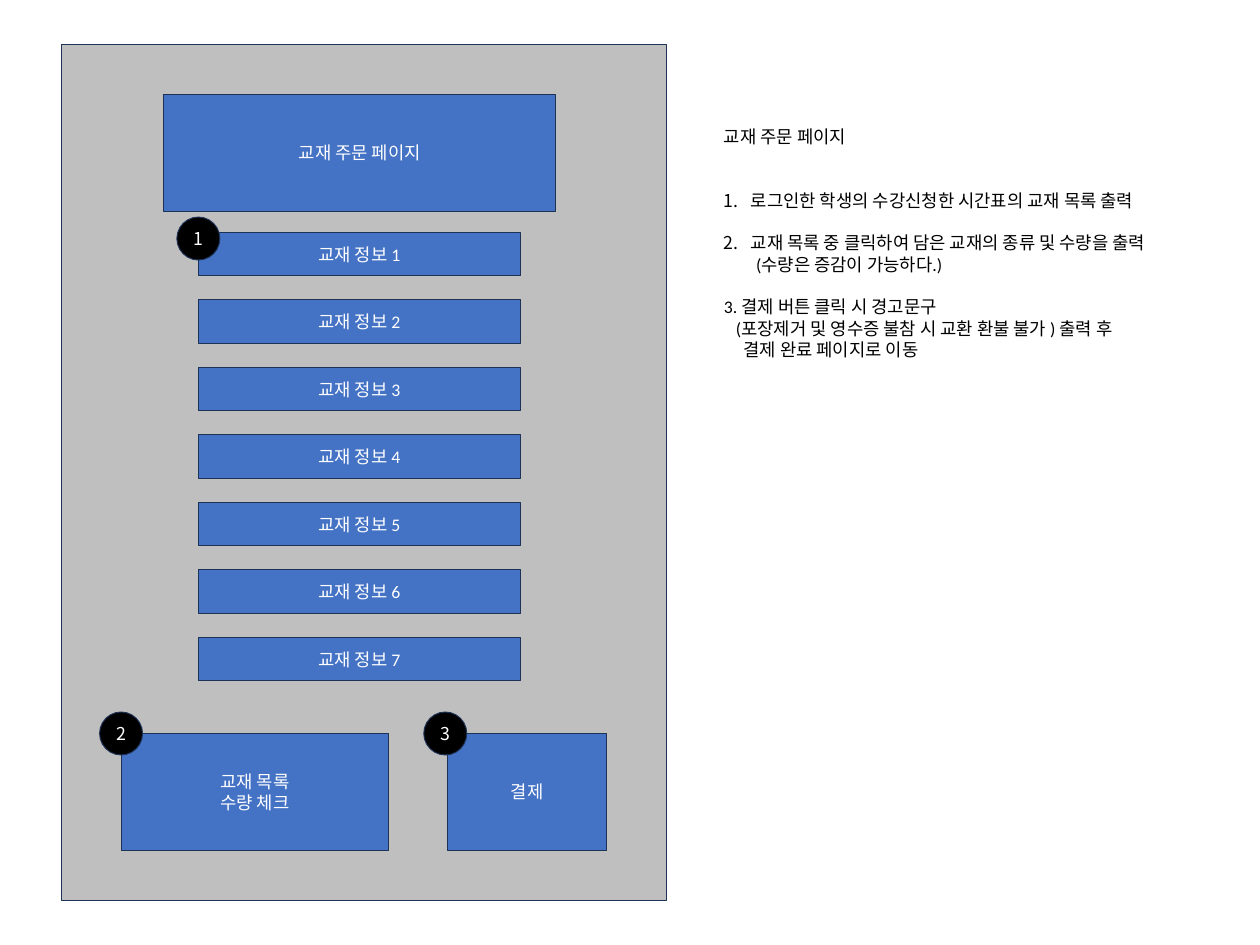
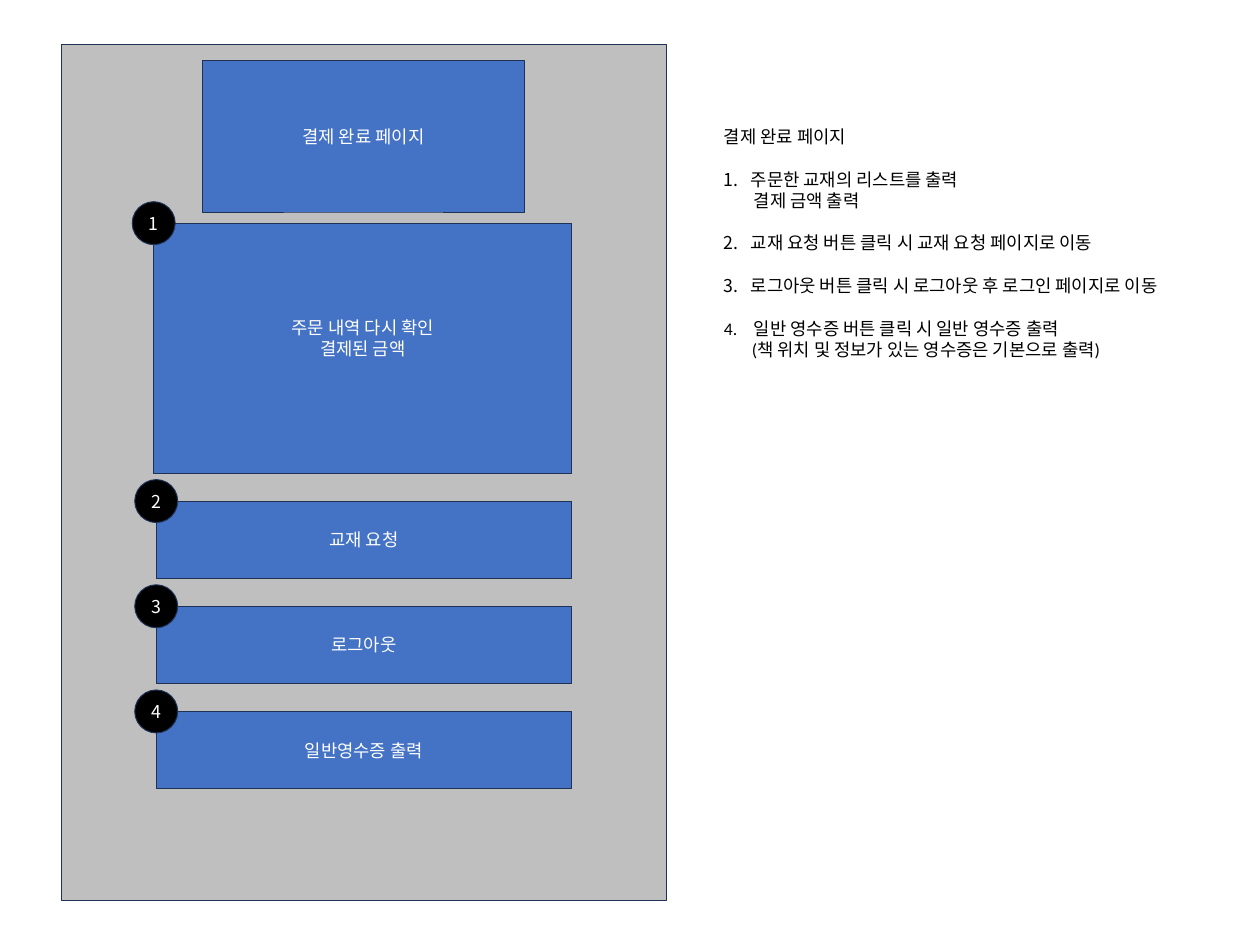
import dataclasses

import lxml.etree
import pptx
import pptx.dml.color
import pptx.enum.shapes
import pptx.enum.text
import pptx.oxml.ns
import pptx.shapes.autoshape
import pptx.slide
import pptx.text.text
import pptx.util

Cm = pptx.util.Cm
Pt = pptx.util.Pt
RECTANGLE = pptx.enum.shapes.MSO_SHAPE.RECTANGLE
OVAL = pptx.enum.shapes.MSO_SHAPE.OVAL


# Shared look
@dataclasses.dataclass(frozen=True)
class Theme:
    panel: str = "BFBFBF"
    block: str = "4472C4"
    badge: str = "000000"
    outline: str = "1E3256"
    light_text: str = "FFFFFF"
    dark_text: str = "000000"
    font: str = "Calibri"
    korean_font: str = "Noto Sans CJK KR"
    text_size: float = 18
    line_height: float = 21.6
    outline_width: float = 1


THEME = Theme()


# Parts of a page, with lengths in centimetres
@dataclasses.dataclass(frozen=True)
class Area:
    left: float
    top: float
    width: float
    height: float


@dataclasses.dataclass(frozen=True)
class Block:
    text: str
    area: Area
    badge: str = ""
    badge_right: float = 0
    badge_down: float = 0
    bottom_inset: float = 0.13


@dataclasses.dataclass(frozen=True)
class Note:
    text: str
    number: int = 0
    indent: float = 0
    hanging: float = 0
    gap_lines: int = 0


@dataclasses.dataclass(frozen=True)
class Screen:
    blocks: list[Block]
    notes: list[Note]


PAGE_WIDTH, PAGE_HEIGHT = 45.16, 33.87
PANEL = Area(2.21, 1.6, 21.67, 30.66)
NOTES = Area(25.7, 4.39, 17.25, 8.71)
BADGE_SIZE = 1.54
NUMBER_INDENT = 0.96


def stack(labels: list[str], first: Area, pitch: float,
          badges: list[str]) -> list[Block]:
    """Place equal blocks below one another."""
    return [
        Block(label, dataclasses.replace(first, top=first.top + row * pitch), badge)
        for row, (label, badge) in enumerate(zip(labels, badges))
    ]


def numbered(number: int, text: str, gap_lines: int = 1) -> Note:
    return Note(text, number, NUMBER_INDENT, NUMBER_INDENT, gap_lines)


# Contents
BOOK_LABELS = [f"교재 정보 {number}" for number in range(1, 8)]
BOOK_ROWS = stack(BOOK_LABELS, Area(7.11, 8.33, 11.53, 1.55), 2.42, [""] * 7)
BOOK_ROWS[0] = dataclasses.replace(BOOK_ROWS[0], badge="1", badge_down=0.22)

ORDER_SCREEN = Screen(
    blocks=[
        Block("교재 주문 페이지", Area(5.87, 3.38, 14.05, 4.19)),
        *BOOK_ROWS,
        Block("교재 목록\n수량 체크", Area(4.34, 26.29, 9.6, 4.19), "2"),
        Block("결제", Area(16.05, 26.29, 5.69, 4.19), "3", badge_right=-0.09),
    ],
    notes=[
        Note("교재 주문 페이지"),
        numbered(1, "로그인한 학생의 수강신청한 시간표의 교재 목록 출력", gap_lines=2),
        numbered(2, "교재 목록 중 클릭하여 담은 교재의 종류 및 수량을 출력"),
        Note("(수량은 증감이 가능하다.)", indent=1.15),
        Note("3. 결제 버튼 클릭 시 경고문구", gap_lines=1),
        Note("(포장제거 및 영수증 불참 시 교환 환불 불가 ) 출력 후", indent=0.43),
        Note("결제 완료 페이지로 이동", indent=0.7),
    ],
)

PAID_SCREEN = Screen(
    blocks=[
        Block("결제 완료 페이지", Area(7.26, 2.16, 11.53, 5.44)),
        Block("주문 내역 다시 확인\n결제된 금액", Area(5.51, 8, 14.99, 8.99), "1",
              bottom_inset=0.89),
        *stack(["교재 요청", "로그아웃", "일반영수증 출력"],
               Area(5.6, 17.96, 14.88, 2.77), 3.77, ["2", "3", "4"]),
    ],
    notes=[
        Note("결제 완료 페이지"),
        numbered(1, "주문한 교재의 리스트를 출력"),
        Note("결제 금액 출력", indent=1.07),
        numbered(2, "교재 요청 버튼 클릭 시 교재 요청 페이지로 이동"),
        numbered(3, "로그아웃 버튼 클릭 시 로그아웃 후 로그인 페이지로 이동"),
        Note("4.\t일반 영수증 버튼 클릭 시 일반 영수증 출력",
             indent=1.07, hanging=1.07, gap_lines=1),
        Note("(책 위치 및 정보가 있는 영수증은 기본으로 출력)", indent=1),
    ],
)


# Drawing
def rgb(value: str) -> pptx.dml.color.RGBColor:
    return pptx.dml.color.RGBColor.from_string(value)


def lengths(area: Area) -> list[pptx.util.Length]:
    return [Cm(value) for value in dataclasses.astuple(area)]


def style_text(para: pptx.text.text._Paragraph, color: str, font: str) -> None:
    para.font.name = font
    para.font.size = Pt(THEME.text_size)
    para.font.color.rgb = rgb(color)
    properties = para._p.pPr.find(pptx.oxml.ns.qn("a:defRPr"))
    east_asian = lxml.etree.SubElement(properties, pptx.oxml.ns.qn("a:ea"))
    east_asian.set("typeface", THEME.korean_font)


def draw_shape(page: pptx.slide.Slide, kind: pptx.enum.shapes.MSO_SHAPE,
               area: Area, fill: str, text: str = "",
               font: str = THEME.font) -> pptx.shapes.autoshape.Shape:
    shape = page.shapes.add_shape(kind, *lengths(area))
    shape.shadow.inherit = False
    shape.fill.solid()
    shape.fill.fore_color.rgb = rgb(fill)
    shape.line.color.rgb = rgb(THEME.outline)
    shape.line.width = Pt(THEME.outline_width)
    if text:
        shape.text_frame.vertical_anchor = pptx.enum.text.MSO_ANCHOR.MIDDLE
        para = shape.text_frame.paragraphs[0]
        para.text = text
        para.alignment = pptx.enum.text.PP_ALIGN.CENTER
        style_text(para, THEME.light_text, font)
    return shape


def draw_block(page: pptx.slide.Slide, block: Block) -> None:
    shape = draw_shape(page, RECTANGLE, block.area, THEME.block, block.text)
    shape.text_frame.margin_bottom = Cm(block.bottom_inset)
    if block.badge:
        # The badge is centred on the top left corner of its block
        badge_area = Area(block.area.left - BADGE_SIZE / 2 + block.badge_right,
                          block.area.top - BADGE_SIZE / 2 + block.badge_down,
                          BADGE_SIZE, BADGE_SIZE)
        draw_shape(page, OVAL, badge_area, THEME.badge, block.badge,
                   THEME.korean_font)


def draw_notes(page: pptx.slide.Slide, notes: list[Note]) -> None:
    box = page.shapes.add_textbox(*lengths(NOTES))
    frame = box.text_frame
    frame.word_wrap = True
    frame.auto_size = pptx.enum.text.MSO_AUTO_SIZE.SHAPE_TO_FIT_TEXT
    for index, note in enumerate(notes):
        para = frame.add_paragraph() if index else frame.paragraphs[0]
        para.text = note.text
        para.space_before = Pt(note.gap_lines * THEME.line_height)
        properties = para._p.get_or_add_pPr()
        properties.set("marL", str(Cm(note.indent)))
        properties.set("indent", str(-Cm(note.hanging)))
        if note.number:
            bullet = lxml.etree.SubElement(properties, pptx.oxml.ns.qn("a:buAutoNum"))
            bullet.set("type", "arabicPeriod")
            bullet.set("startAt", str(note.number))
        style_text(para, THEME.dark_text, THEME.font)


def draw_screen(deck: pptx.presentation.Presentation, screen: Screen) -> None:
    page = deck.slides.add_slide(deck.slide_layouts[6])
    draw_shape(page, RECTANGLE, PANEL, THEME.panel)
    for block in screen.blocks:
        draw_block(page, block)
    draw_notes(page, screen.notes)


def main() -> None:
    deck = pptx.Presentation()
    deck.slide_width, deck.slide_height = Cm(PAGE_WIDTH), Cm(PAGE_HEIGHT)
    for screen in (ORDER_SCREEN, PAID_SCREEN):
        draw_screen(deck, screen)
    deck.save("out.pptx")


if __name__ == "__main__":
    main()
